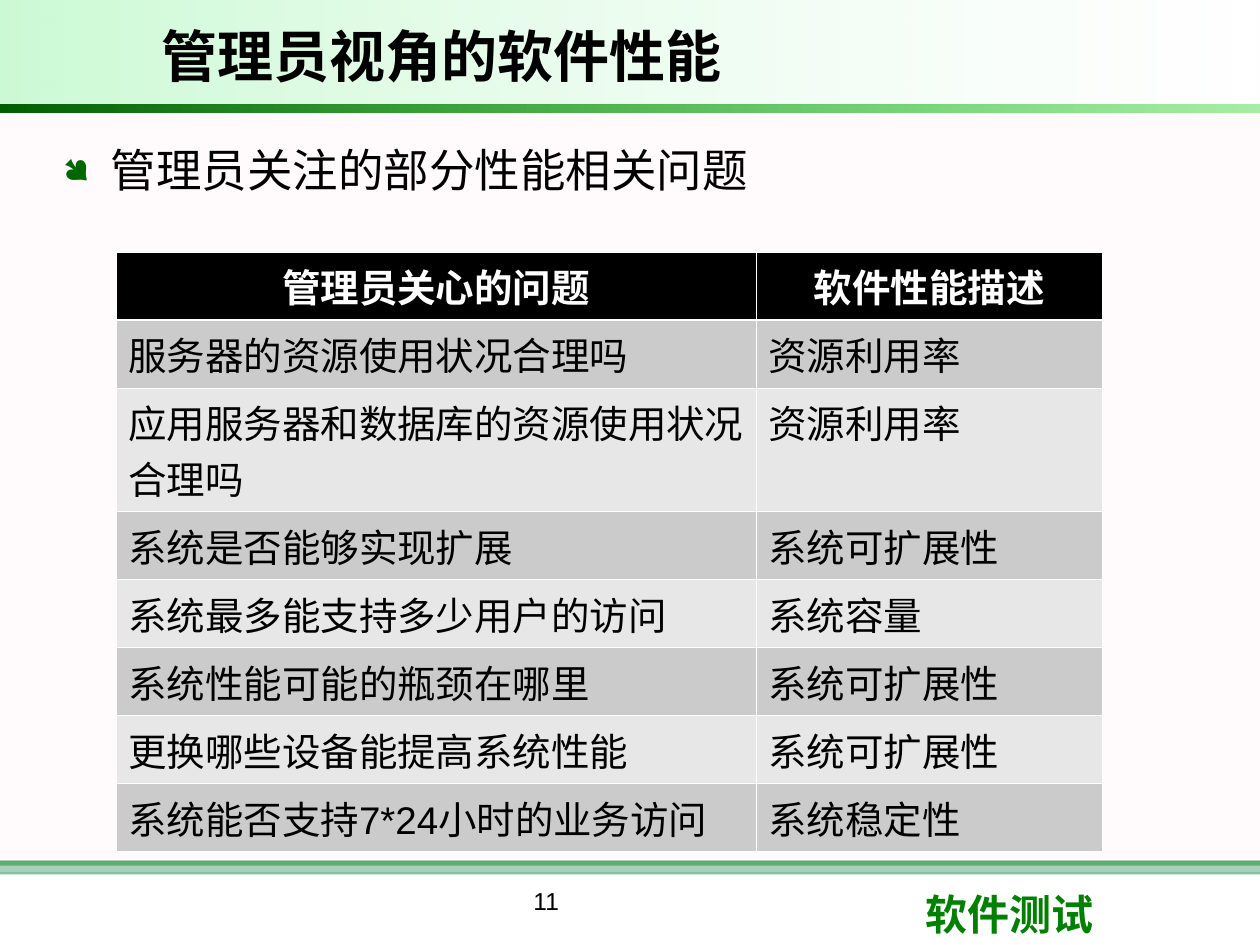
from dataclasses import dataclass

from lxml import etree
from pptx import Presentation
from pptx import util as u
from pptx.dml.color import RGBColor
from pptx.enum import shapes, text
from pptx.oxml.ns import qn

# Content
TITLE = "管理员视角的软件性能"
LEAD = "管理员关注的部分性能相关问题"
COURSE = "软件测试"
PAGE = "11"
CONCERNS = [
    ("管理员关心的问题", "软件性能描述"),
    ("服务器的资源使用状况合理吗", "资源利用率"),
    ("应用服务器和数据库的资源使用状况合理吗", "资源利用率"),
    ("系统是否能够实现扩展", "系统可扩展性"),
    ("系统最多能支持多少用户的访问", "系统容量"),
    ("系统性能可能的瓶颈在哪里", "系统可扩展性"),
    ("更换哪些设备能提高系统性能", "系统可扩展性"),
    ("系统能否支持7*24小时的业务访问", "系统稳定性"),
]


@dataclass(frozen=True)
class Theme:
    black: str = "000000"
    white: str = "FFFFFF"
    green: str = "008000"
    bullet: str = "006600"
    bands: tuple = ("E7E7E7", "CBCBCB")
    latin: str = "Arial"
    brand: str = "Roboto"
    cjk: str = "Noto Sans CJK SC"
    symbol: str = "Wingdings"
    title: int = 32
    lead: int = 26
    course: int = 24
    cell: int = 22
    page: int = 14


T = Theme()
WIDTH, HEIGHT = 10, 7.5
HEADER, FOOTER = 0.83, 6.83

# Background bands: top, height, (colour, opacity) stops from left to right
BANDS = [
    (FOOTER, 0.04, [(T.green, 100)]),
    (FOOTER, 0.11, [("339966", 60)]),
    (0.92, 6, [("FFF0F5", 30)]),
    (0, HEADER, [("09E733", 21), (T.white, 10)]),
    (HEADER, 0.06, [("005E00", 100), ("00CC00", 35)]),
]


def box(left, top, width, height):
    return [u.Inches(v) for v in (left, top, width, height)]


def child(parent, tag, **attributes):
    return etree.SubElement(parent, qn(tag), attributes)


def write(frame, words, size, color=T.black, font=T.latin, bold=False,
          align=text.PP_ALIGN.LEFT):
    paragraph = frame.paragraphs[0]
    paragraph.alignment = align
    run = paragraph.add_run()
    run.text = words
    for name, value in dict(name=font, size=u.Pt(size), bold=bold).items():
        setattr(run.font, name, value)
    run.font.color.rgb = RGBColor.from_string(color)
    child(run.font._element, "a:ea", typeface=T.cjk)
    return paragraph


def add_text(slide, place, words, size, **look):
    frame = slide.shapes.add_textbox(*box(*place)).text_frame
    frame.word_wrap = True
    return write(frame, words, size, **look)


def add_band(slide, top, height, stops):
    band = slide.shapes.add_shape(shapes.MSO_SHAPE.RECTANGLE, *box(0, top, WIDTH, height))
    band.shadow.inherit = False
    band.line.fill.background()
    if len(stops) == 1:
        band.fill.solid()
        colors = [band.fill.fore_color]
    else:
        band.fill.gradient()
        band.fill.gradient_angle = 0
        colors = [stop.color for stop in band.fill.gradient_stops]
    for target, (color, _) in zip(colors, stops):
        target.rgb = RGBColor.from_string(color)
    for element, (_, opacity) in zip(band._element.spPr.iter(qn("a:srgbClr")), stops):
        if opacity < 100:
            child(element, "a:alpha", val=str(opacity * 1000))


def set_borders(cell, widths):
    properties = cell._tc.get_or_add_tcPr()
    for index, (side, width) in enumerate(widths.items()):
        line = etree.Element(qn(f"a:ln{side}"), w=str(u.Pt(width)))
        child(child(line, "a:solidFill"), "a:srgbClr", val=T.white)
        properties.insert(index, line)


def add_concerns(slide):
    columns, row_height = (5.08, 2.75), 0.54
    heights = [row_height] * len(CONCERNS)
    heights[2] = 0.98  # two lines of text
    place = box(0.92, 2, sum(columns), sum(heights))
    table = slide.shapes.add_table(len(CONCERNS), len(columns), *place).table
    for column, width in zip(table.columns, columns):
        column.width = u.Inches(width)
    for r, (row, height) in enumerate(zip(table.rows, heights)):
        row.height = u.Inches(height)
        header = r == 0
        look = (dict(color=T.white, bold=True, align=text.PP_ALIGN.CENTER)
                if header else {})
        fill = T.black if header else T.bands[r % 2]
        borders = dict(L=0.45, R=0.45, T=1.47 if r == 1 else 0.45,
                       B=1.47 if header else 0.45)
        for cell, words in zip(row.cells, CONCERNS[r]):
            cell.fill.solid()
            cell.fill.fore_color.rgb = RGBColor.from_string(fill)
            set_borders(cell, borders)
            write(cell.text_frame, words, T.cell, **look)


def main():
    deck = Presentation()
    deck.slide_width, deck.slide_height = u.Inches(WIDTH), u.Inches(HEIGHT)
    slide = deck.slides.add_slide(deck.slide_layouts[5])

    # Background and course name
    for band in BANDS:
        add_band(slide, *band)
    add_text(slide, (7.25, 7, 2.37, 0.5), COURSE, T.course,
             color=T.green, font=T.brand, bold=True)

    # Title, brought in front of the header band
    title = slide.shapes.title
    title.left, title.top, title.width, title.height = box(1.18, 0.08, 6.97, 0.71)
    title.text_frame.vertical_anchor = text.MSO_ANCHOR.MIDDLE
    write(title.text_frame, TITLE, T.title, bold=True)
    slide.shapes._spTree.append(title._element)

    # Lead bullet
    lead = add_text(slide, (0.39, 1.08, 9.36, 0.92), LEAD, T.lead, font=T.cjk)
    lead.space_after = u.Pt(6)
    bullet = lead._p.get_or_add_pPr()
    bullet.set("marL", str(u.Inches(0.39)))
    bullet.set("indent", str(u.Inches(-0.38)))
    child(child(bullet, "a:buClr"), "a:srgbClr", val=T.bullet)
    child(bullet, "a:buSzPct", val="75000")
    child(bullet, "a:buFont", typeface=T.symbol, charset="2")
    child(bullet, "a:buChar", char="●")

    # Page number and table
    add_text(slide, (2.75, 6.98, 3.17, 0.52), PAGE, T.page, align=text.PP_ALIGN.CENTER)
    add_concerns(slide)
    deck.save("out.pptx")


if __name__ == "__main__":
    main()
